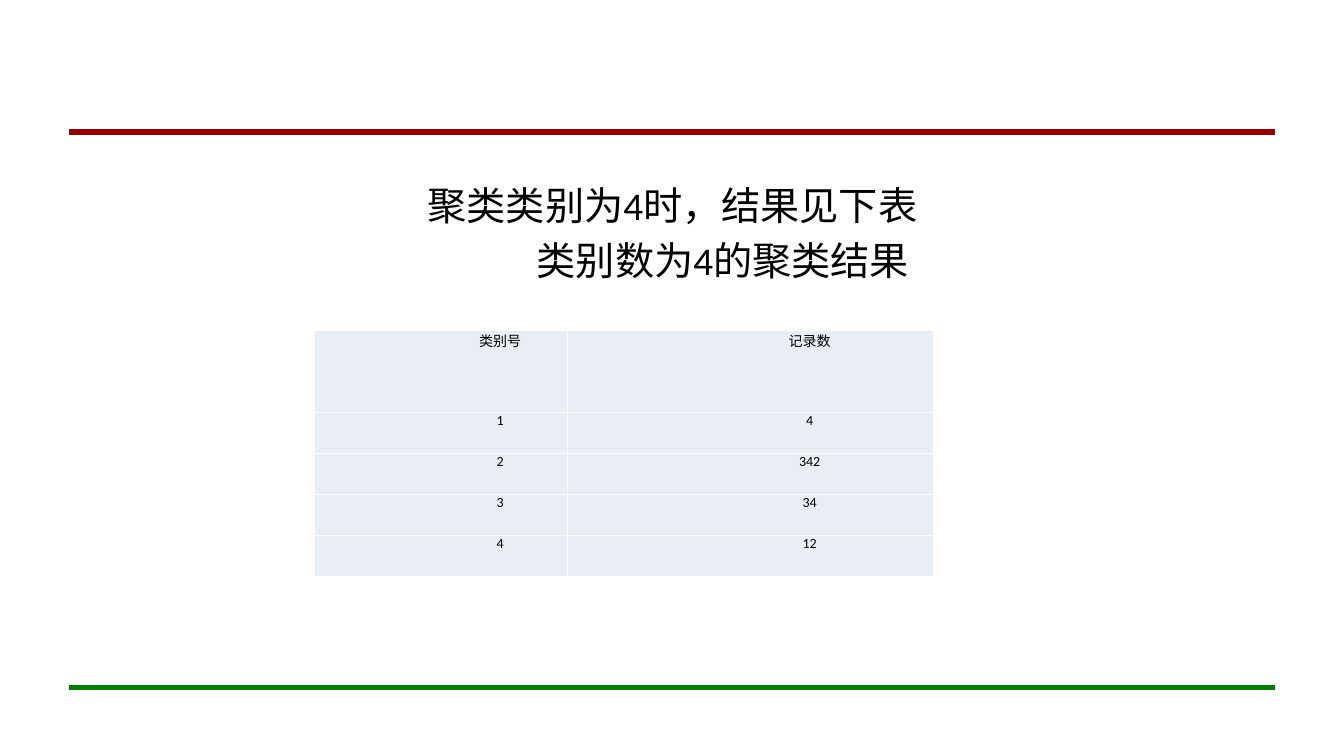
import pptx
import pptx.util
import pptx.dml.color
import pptx.enum.shapes
import pptx.enum.text
import pptx.oxml.ns
import lxml.etree

Inches, Pt = pptx.util.Inches, pptx.util.Pt
RGB = pptx.dml.color.RGBColor
qn = pptx.oxml.ns.qn
CENTER = pptx.enum.text.PP_ALIGN.CENTER

RED = RGB(0x99, 0x00, 0x00)
GREEN = RGB(0x00, 0x80, 0x00)
BLACK = RGB(0x00, 0x00, 0x00)
CELL_FILL = RGB(0xE9, 0xED, 0xF4)
BORDER = "FFFFFF"
FONT = "Calibri"

ROWS = [("类别号", "记录数"), ("1", "4"), ("2", "342"), ("3", "34"), ("4", "12")]
COLUMN_WIDTHS = (2.51, 3.63)
ROW_UNITS = (2, 1, 1, 1, 1)  # the header is two rows tall


def format_paragraph(p, size, indent):
    p.alignment = CENTER
    pPr = p._p.get_or_add_pPr()
    pPr.set("marL", str(Inches(indent)))
    pPr.set("indent", "0")
    for r in p.runs:
        r.font.name, r.font.size = FONT, Pt(size)
        r.font.color.rgb = BLACK


def add_rule(s, left, right, y, color):
    line = s.shapes.add_connector(
        pptx.enum.shapes.MSO_CONNECTOR.STRAIGHT,
        Inches(left), Inches(y), Inches(right), Inches(y))
    line.line.color.rgb = color
    line.line.width = Pt(4)
    lxml.etree.SubElement(line._element.spPr, qn("a:effectLst"))


def add_heading(s, left, top, width, height):
    box = s.shapes.add_textbox(*map(Inches, (left, top, width, height)))
    tf = box.text_frame
    tf.word_wrap = True
    tf.text = "聚类类别为4时，结果见下表\n类别数为4的聚类结果"
    for p, indent in zip(tf.paragraphs, (0, 1)):
        format_paragraph(p, 28, indent)
        p.space_before = Pt(5.6)


def add_borders(cell):
    tcPr = cell._tc.get_or_add_tcPr()
    for i, side in enumerate(("a:lnL", "a:lnR", "a:lnT", "a:lnB")):
        ln = lxml.etree.Element(qn(side), w=str(Pt(1)))
        fill = lxml.etree.SubElement(ln, qn("a:solidFill"))
        lxml.etree.SubElement(fill, qn("a:srgbClr"), val=BORDER)
        tcPr.insert(i, ln)  # borders come before the fill


def add_result_table(s, left, top, width, height):
    table = s.shapes.add_table(
        len(ROWS), len(COLUMN_WIDTHS),
        *map(Inches, (left, top, width, height))).table
    for column, share in zip(table.columns, COLUMN_WIDTHS):
        column.width = Inches(width * share / sum(COLUMN_WIDTHS))
    for row, units in zip(table.rows, ROW_UNITS):
        row.height = Inches(height * units / sum(ROW_UNITS))
    for row, values in zip(table.rows, ROWS):
        for cell, value in zip(row.cells, values):
            cell.text = value
            cell.margin_left = cell.margin_right = Inches(0.07)
            cell.margin_top = cell.margin_bottom = 0
            cell.fill.solid()
            cell.fill.fore_color.rgb = CELL_FILL
            add_borders(cell)
            format_paragraph(cell.text_frame.paragraphs[0], 10, 1.17)


def main():
    prs = pptx.Presentation()
    prs.slide_width, prs.slide_height = Inches(13.33), Inches(7.5)
    s = prs.slides.add_slide(prs.slide_layouts[6])

    # Frame rules
    add_rule(s, 0.68, 12.65, 6.82, GREEN)
    add_rule(s, 0.68, 12.65, 1.31, RED)

    # Heading and table
    add_heading(s, 0.67, 1.75, 12, 4.95)
    add_result_table(s, 3.12, 3.28, 6.14, 2.44)

    prs.save("out.pptx")


if __name__ == "__main__":
    main()
